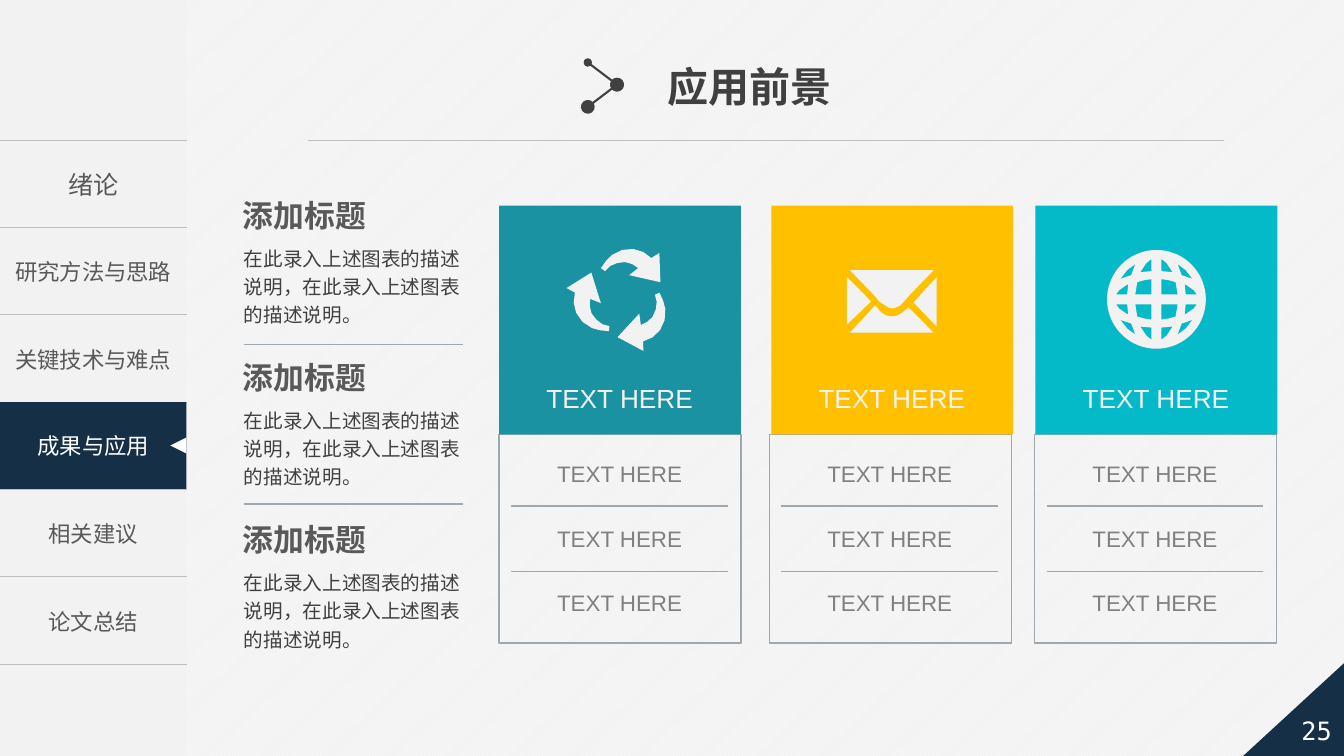
"""Build the application prospects slide with its chapter sidebar and three cards."""
from dataclasses import dataclass
from math import cos, pi, sin
from typing import Optional

from lxml import etree
from pptx import Presentation
from pptx.dml.color import RGBColor
from pptx.enum.dml import MSO_PATTERN
from pptx.enum.shapes import MSO_CONNECTOR, MSO_SHAPE
from pptx.enum.text import MSO_ANCHOR, MSO_AUTO_SIZE, PP_ALIGN
from pptx.oxml.ns import qn
from pptx.util import Inches, Pt

RECTANGLE, TRIANGLE = MSO_SHAPE.RECTANGLE, MSO_SHAPE.ISOSCELES_TRIANGLE
CORNER, PAGE_TAG = MSO_SHAPE.RIGHT_TRIANGLE, MSO_SHAPE.PENTAGON
STRAIGHT, DIAGONAL = MSO_CONNECTOR.STRAIGHT, MSO_PATTERN.LIGHT_UPWARD_DIAGONAL
LEFT, CENTER = PP_ALIGN.LEFT, PP_ALIGN.CENTER
MIDDLE, FIT_SHAPE = MSO_ANCHOR.MIDDLE, MSO_AUTO_SIZE.SHAPE_TO_FIT_TEXT

Point = tuple[float, float]
Box = tuple[float, float, float, float]


@dataclass(frozen=True)
class Theme:
    white: str = "FFFFFF"
    paper: str = "F2F2F2"
    navy: str = "152F47"
    rule: str = "BFBFBF"
    steel: str = "9DA8B1"
    ink: str = "404040"
    heading: str = "595959"
    muted: str = "808080"
    chinese: str = "Noto Sans CJK SC"
    latin: str = "Arial"
    number: str = "DejaVu Sans Mono"
    title_size: float = 29.3
    heading_size: float = 22
    caption_size: float = 18.7
    large_size: float = 18
    item_size: float = 16
    body_size: float = 14


@dataclass(frozen=True)
class Style:
    size: float
    color: str
    font: str
    bold: bool = False
    align: PP_ALIGN = LEFT
    spacing: Optional[float] = None


@dataclass(frozen=True)
class Card:
    panel_left: float
    header_left: float
    color: str
    icon: list[list[Point]]


THEME = Theme()
TITLE = Style(THEME.title_size, THEME.ink, THEME.latin, bold=True)
HEADING = Style(THEME.heading_size, THEME.heading, THEME.chinese, bold=True)
BODY = Style(THEME.body_size, THEME.ink, THEME.chinese, spacing=1.2)
FIRST_CHAPTER = Style(THEME.large_size, THEME.heading, THEME.chinese, align=CENTER)
CHAPTER = Style(THEME.item_size, THEME.heading, THEME.chinese, align=CENTER)
ACTIVE = Style(THEME.item_size, THEME.white, THEME.chinese, align=CENTER)
PAGE = Style(THEME.large_size, THEME.white, THEME.number, align=CENTER)
CAPTION = Style(THEME.caption_size, THEME.paper, THEME.latin, align=CENTER)
ITEM = Style(THEME.item_size, THEME.muted, THEME.latin, align=CENTER)

CHAPTERS = ["绪论", "研究方法与思路", "关键技术与难点", "成果与应用", "相关建议", "论文总结"]
SIDEBAR_TOP, SIDEBAR_WIDTH, CHAPTER_HEIGHT = 1.39, 1.85, 5.2 / 6
ACTIVE_INDEX = 3

ARROW = [(6.54, 2.51), (6.46, 2.56), (6.38, 2.5), (6.28, 2.47), (6.17, 2.48),
         (6.07, 2.53), (6.01, 2.59), (5.96, 2.66), (6, 2.69), (6.05, 2.64),
         (6.12, 2.61), (6.2, 2.6), (6.27, 2.62), (6.33, 2.66), (6.24, 2.73), (6.55, 2.8)]
ENVELOPE = [
    [(8.4, 2.75), (8.4, 3.22), (8.64, 2.99)],
    [(8.43, 2.68), (8.68, 2.94), (8.72, 2.99), (8.78, 3.03), (8.81, 3.05), (8.85, 3.06),
     (8.89, 3.05), (8.93, 3.03), (9.01, 2.94), (9.26, 2.68)],
    [(9.01, 3.05), (8.95, 3.1), (8.9, 3.13), (8.85, 3.14), (8.79, 3.13), (8.74, 3.1),
     (8.68, 3.03), (8.43, 3.3), (9.26, 3.3)],
    [(9.29, 2.75), (9.06, 3), (9.29, 3.24)],
]
GLOBE_QUARTER = [
    [(.05, .4), (.05, .28), (.16, .27), (.14, .3), (.1, .36)],
    [(.05, .2), (.05, .05), (.21, .05), (.19, .17), (.12, .19)],
    [(.29, .05), (.4, .05), (.37, .09), (.3, .14), (.28, .15)],
    [(.25, .24), (.34, .21), (.36, .2), (.29, .29), (.21, .35)],
]


def recycle_icon(center: Point = (6.18, 2.95)) -> list[list[Point]]:
    contours = []
    for turn in range(3):
        c, s = cos(turn * 2 * pi / 3), sin(turn * 2 * pi / 3)
        offsets = [(x - center[0], y - center[1]) for x, y in ARROW]
        contours.append([(center[0] + x * c - y * s, center[1] + x * s + y * c)
                         for x, y in offsets])
    return contours


def globe_icon(center: Point = (11.47, 2.97), radius: float = 0.49) -> list[list[Point]]:
    angles = [step * pi / 36 for step in range(72)]
    rim = [(center[0] + radius * cos(a), center[1] + radius * sin(a)) for a in angles]
    holes = [[(center[0] + across * x, center[1] + down * y) for x, y in hole]
             for across in (-1, 1) for down in (-1, 1) for hole in GLOBE_QUARTER]
    return [rim, *holes]


def write(frame, text: str, style: Style) -> None:
    paragraph = frame.paragraphs[0]
    paragraph.add_run().text = text
    paragraph.alignment = style.align
    if style.spacing:
        paragraph.line_spacing = style.spacing
    font = paragraph.font
    font.size, font.bold, font.name = Pt(style.size), style.bold, style.font
    font.color.rgb = RGBColor.from_string(style.color)
    defaults = paragraph._p.pPr.find(qn("a:defRPr"))
    etree.SubElement(defaults, qn("a:ea"), typeface=THEME.chinese)


def add_text(slide, box: Box, text: str, style: Style, wrap: bool = True) -> None:
    frame = slide.shapes.add_textbox(*map(Inches, box)).text_frame
    frame.word_wrap, frame.auto_size = wrap, FIT_SHAPE
    write(frame, text, style)


def paint(shape, fill: Optional[str], line: Optional[str] = None) -> None:
    shape.shadow.inherit = False
    if fill:
        shape.fill.solid()
        shape.fill.fore_color.rgb = RGBColor.from_string(fill)
    else:
        shape.fill.background()
    if line:
        shape.line.color.rgb, shape.line.width = RGBColor.from_string(line), Pt(1)
    else:
        shape.line.fill.background()


def add_shape(slide, kind: MSO_SHAPE, box: Box, fill: Optional[str],
              line: Optional[str] = None, flipped: bool = False):
    shape = slide.shapes.add_shape(kind, *map(Inches, box))
    paint(shape, fill, line)
    if flipped:
        shape._element.spPr.xfrm.set("flipH", "1")
    return shape


def add_line(slide, start: Point, end: Point, color: str, width: float,
             dots: tuple[str, ...] = ()) -> None:
    line = slide.shapes.add_connector(STRAIGHT, *map(Inches, (*start, *end)))
    line.line.color.rgb, line.line.width = RGBColor.from_string(color), Pt(width)
    for tag, size in zip(("a:headEnd", "a:tailEnd"), dots):
        etree.SubElement(line.line._get_or_add_ln(), qn(tag), type="oval", w=size, len=size)
    etree.SubElement(line._element.spPr, qn("a:effectLst"))


def add_icon(slide, contours: list[list[Point]]) -> None:
    outlines = [[(Inches(x), Inches(y)) for x, y in contour] for contour in contours]
    builder = slide.shapes.build_freeform(*outlines[0][0])
    for index, outline in enumerate(outlines):
        if index:
            builder.move_to(*outline[0])
        builder.add_line_segments(outline[1:], close=True)
    paint(builder.convert_to_shape(), THEME.paper)


def add_sidebar(slide) -> None:
    add_shape(slide, RECTANGLE, (0, 0, SIDEBAR_WIDTH, 7.5), THEME.paper)
    box = (0, SIDEBAR_TOP, SIDEBAR_WIDTH, CHAPTER_HEIGHT * len(CHAPTERS))
    table = slide.shapes.add_table(len(CHAPTERS), 1, *map(Inches, box)).table
    table.first_row = table.horz_banding = False
    for index, chapter in enumerate(CHAPTERS):
        cell = table.cell(index, 0)
        cell.vertical_anchor = MIDDLE
        write(cell.text_frame, chapter, CHAPTER if index else FIRST_CHAPTER)
        properties = cell._tc.get_or_add_tcPr()
        for side in "LRTB":
            border = etree.SubElement(properties, qn(f"a:ln{side}"), w=str(Pt(1)))
            if side in "LR":
                etree.SubElement(border, qn("a:noFill"))
            else:
                solid = etree.SubElement(border, qn("a:solidFill"))
                etree.SubElement(solid, qn("a:srgbClr"), val=THEME.rule)
        cell.fill.background()
    top = SIDEBAR_TOP + ACTIVE_INDEX * CHAPTER_HEIGHT
    marker = add_shape(slide, RECTANGLE, (0, top, SIDEBAR_WIDTH, 0.86), THEME.navy)
    marker.text_frame.vertical_anchor = MIDDLE
    write(marker.text_frame, CHAPTERS[ACTIVE_INDEX], ACTIVE)
    add_shape(slide, TRIANGLE, (1.69, top + 0.35, 0.16, 0.16), THEME.white).rotation = 270


def add_frame(slide) -> None:
    add_line(slide, (3.05, 1.39), (12.14, 1.39), THEME.rule, 0.5)
    add_shape(slide, CORNER, (12.33, 6.58, 1, 0.92), THEME.navy, flipped=True)
    tag = add_shape(slide, PAGE_TAG, (12.45, 6.97, 1.08, 0.55), None, flipped=True)
    tag.text_frame.vertical_anchor = MIDDLE
    write(tag.text_frame, "25", PAGE)
    add_text(slide, (6.52, 0.56, 1.85, 0.59), "应用前景", TITLE, wrap=False)
    add_line(slide, (5.83, 0.62), (6.12, 0.84), THEME.ink, 1.5, ("med", "lg"))
    add_line(slide, (6.12, 0.84), (5.83, 1.06), THEME.ink, 1.5, ("lg", "lg"))


def add_descriptions(slide) -> None:
    for index in range(3):
        top = 1.9 + 1.61 * index
        add_text(slide, (2.31, top, 1.61, 0.47), "添加标题", HEADING)
        add_text(slide, (2.32, top + 0.45, 2.48, 0.95),
                 "在此录入上述图表的描述说明，在此录入上述图表的描述说明。", BODY)
    for y in (3.42, 5):
        add_line(slide, (2.42, y), (4.59, y), THEME.steel, 1)


def add_card(slide, card: Card) -> None:
    left = card.panel_left + 0.12
    add_shape(slide, RECTANGLE, (card.panel_left, 4.31, 2.4, 2.07), None, THEME.steel)
    for index in range(3):
        add_text(slide, (left, 4.52 + 0.64 * index, 2.15, 0.4), "TEXT HERE", ITEM)
    for y in (5.02, 5.67):
        add_line(slide, (left, y), (left + 2.15, y), THEME.steel, 1)
    add_shape(slide, RECTANGLE, (card.header_left, 2.04, 2.4, 2.27), card.color)
    add_icon(slide, card.icon)
    add_text(slide, (card.header_left + 0.12, 3.74, 2.15, 0.45), "TEXT HERE", CAPTION)


def main() -> None:
    presentation = Presentation()
    presentation.slide_width, presentation.slide_height = Inches(13.33), Inches(7.5)
    slide = presentation.slides.add_slide(presentation.slide_layouts[6])
    backdrop = slide.background.fill
    backdrop.patterned()
    backdrop.pattern = DIAGONAL
    backdrop.fore_color.rgb = RGBColor.from_string(THEME.white)
    backdrop.back_color.rgb = RGBColor.from_string(THEME.paper)
    add_sidebar(slide)
    add_frame(slide)
    add_descriptions(slide)
    for card in (Card(4.95, 4.95, "1A92A2", recycle_icon()),
                 Card(7.63, 7.65, "FFC000", ENVELOPE),
                 Card(10.26, 10.27, "05BAC8", globe_icon())):
        add_card(slide, card)
    presentation.save("out.pptx")


if __name__ == "__main__":
    main()
